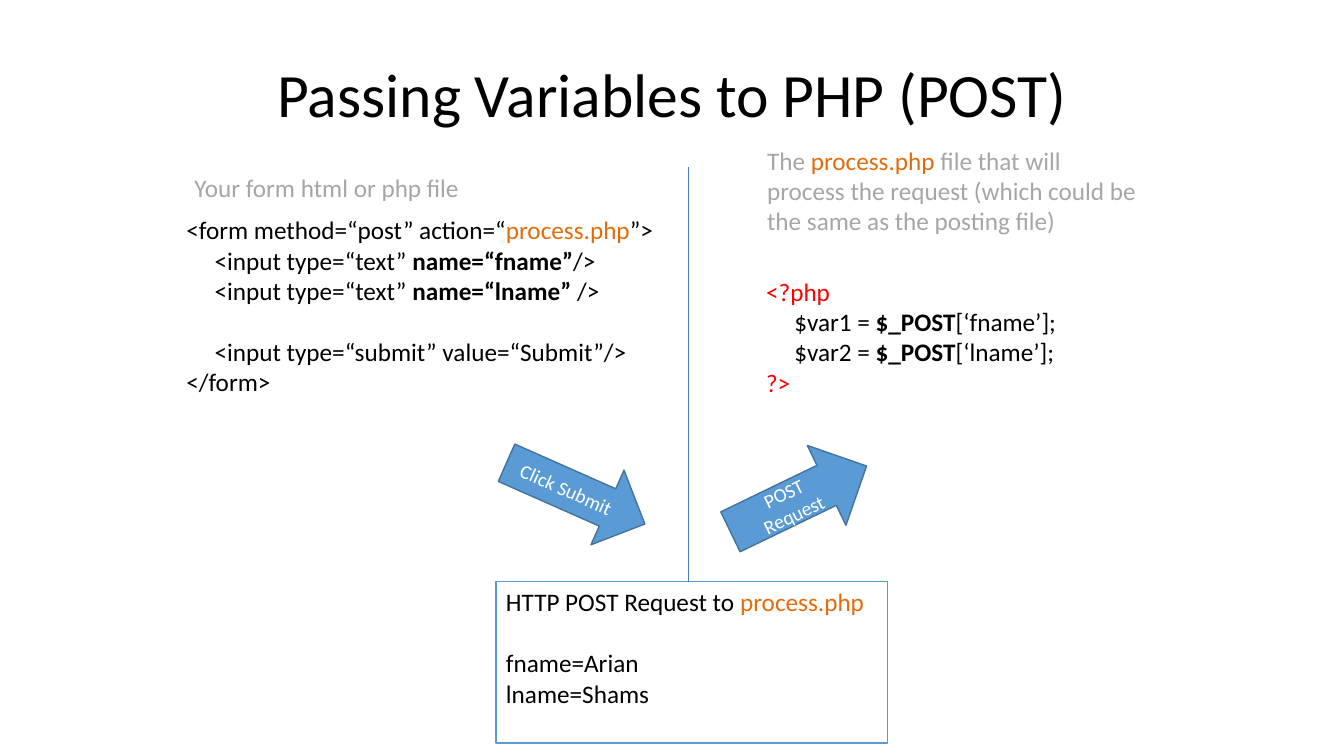
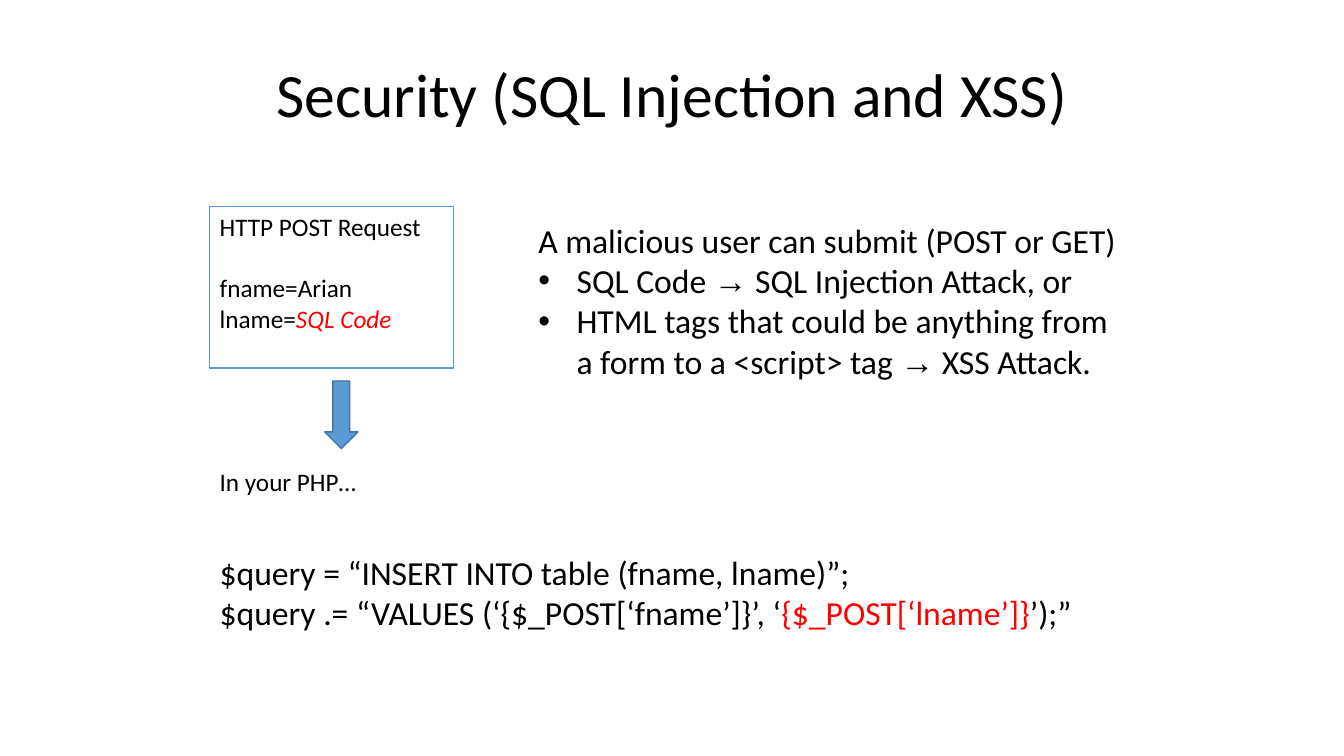
import pptx
import pptx.util
import pptx.dml.color
import pptx.enum.shapes
import pptx.enum.text
import pptx.oxml
import pptx.oxml.ns

Inches = pptx.util.Inches
Pt = pptx.util.Pt
Shape = pptx.enum.shapes.MSO_SHAPE
Anchor = pptx.enum.text.MSO_ANCHOR
Align = pptx.enum.text.PP_ALIGN

# Shared look
FONT = "Calibri"
BLACK, WHITE, RED = "000000", "FFFFFF", "FF0000"
GREY, ORANGE = "A6A6A6", "E46C0A"
BLUE, DARK_BLUE, RULE_BLUE = "5B9BD5", "43739E", "4A7EBB"
TITLE_BOX = (2.17, 0.3, 9, 1.25)
CODE_INDENT = 0.28
BULLET_INDENT = 0.38
BLANK_LINE = 22  # height of one 18 point line
BOLD = {"bold": True}
FILE = {"color": ORANGE}
ALERT = {"color": RED}
ARROW = ("→", {"font": "Arial"})


def rgb(value):
    return pptx.dml.color.RGBColor.from_string(value)


def inches(box):
    return [Inches(length) for length in box]


def line(*spans, indent=0, before=0, bullet=False):
    """Describe one paragraph; a span is a string or (string, format)."""
    return {"spans": spans, "indent": indent, "before": before, "bullet": bullet}


def format_span(span, size, color, font=FONT, bold=False, italic=False):
    span.font.name = font
    span.font.size = Pt(size)
    span.font.bold = bold
    span.font.italic = italic
    span.font.color.rgb = rgb(color)


def add_bullet(properties, indent):
    properties.set("indent", str(-Inches(indent)))
    namespace = pptx.oxml.ns.nsdecls("a")
    for tag in ('buFont typeface="Arial"', 'buChar char="•"'):
        properties.append(pptx.oxml.parse_xml(f"<a:{tag} {namespace}/>"))


def write(shape, lines, size=18, color=BLACK, align=Align.LEFT, anchor=Anchor.TOP):
    frame = shape.text_frame
    frame.word_wrap = True
    frame.vertical_anchor = anchor
    for index, entry in enumerate(lines):
        para = frame.add_paragraph() if index else frame.paragraphs[0]
        para.alignment = align
        para.space_before = Pt(entry["before"])
        if entry["indent"]:
            properties = para._p.get_or_add_pPr()
            properties.set("marL", str(Inches(entry["indent"])))
            if entry["bullet"]:
                add_bullet(properties, entry["indent"])
        for item in entry["spans"]:
            words, changes = (item, {}) if isinstance(item, str) else item
            span = para.add_run()
            span.text = words
            format_span(span, **{"size": size, "color": color, **changes})


def add_text(page, box, lines, **style):
    write(page.shapes.add_textbox(*inches(box)), lines, **style)


def add_block(page, kind, box, fill, outline):
    block = page.shapes.add_shape(kind, *inches(box))
    block.shadow.inherit = False
    block.fill.solid()
    block.fill.fore_color.rgb = rgb(fill)
    block.line.color.rgb = rgb(outline)
    block.line.width = Pt(1)
    return block


def add_arrow(page, kind, box, label="", rotation=0):
    arrow = add_block(page, kind, box, BLUE, DARK_BLUE)
    arrow.rotation = rotation
    if label:
        write(arrow, [line(label)], size=14, color=WHITE,
              align=Align.CENTER, anchor=Anchor.MIDDLE)


def add_request(page, box, heading, last_name):
    """Framed HTTP request with its two fields."""
    request = add_block(page, Shape.RECTANGLE, box, WHITE, BLUE)
    write(request, [
        line(*heading),
        line("fname=Arian", before=BLANK_LINE),
        line("lname=", last_name),
    ])


def add_divider(page, x, top, bottom):
    divider = page.shapes.add_connector(
        pptx.enum.shapes.MSO_CONNECTOR.STRAIGHT, *inches((x, bottom, x, top)))
    divider.line.color.rgb = rgb(RULE_BLUE)
    divider.line.width = Pt(0.5)
    effects = f'<a:effectLst {pptx.oxml.ns.nsdecls("a")}/>'
    divider._element.spPr.append(pptx.oxml.parse_xml(effects))


def add_page(deck, title):
    page = deck.slides.add_slide(deck.slide_layouts[5])
    heading = page.shapes.title
    heading.left, heading.top, heading.width, heading.height = inches(TITLE_BOX)
    write(heading, [line(title)], size=44, align=Align.CENTER, anchor=Anchor.MIDDLE)
    return page


def build_post(deck):
    page = add_page(deck, "Passing Variables to PHP (POST)")

    # Form source
    add_text(page, (1.75, 2.08, 5, 2.5), [
        line("<form method=“post” action=“", ("process.php", FILE), "”>"),
        line("<input type=“text” ", ("name=“fname”", BOLD), "/>", indent=CODE_INDENT),
        line("<input type=“text” ", ("name=“lname”", BOLD), " />", indent=CODE_INDENT),
        line("<input type=“submit” value=“Submit”/>",
             indent=CODE_INDENT, before=BLANK_LINE),
        line("</form>"),
    ])

    # Request and the arrows into and out of it
    add_request(page, (4.92, 5.77, 3.88, 1.6),
                ["HTTP POST Request to ", ("process.php", FILE)], "Shams")
    add_arrow(page, Shape.RIGHT_ARROW, (4.96, 4.49, 1.5, 0.81), "Click Submit", 23.9)
    add_arrow(page, Shape.RIGHT_ARROW, (7.17, 4.51, 1.5, 0.88), "POST Request", 334.2)

    # Receiving script
    add_text(page, (7.5, 2.69, 3.4, 1.67), [
        line(("<?php", ALERT)),
        *(line(f"${variable} = ", ("$_POST", BOLD), f"[‘{field}’];", indent=CODE_INDENT)
          for variable, field in (("var1", "fname"), ("var2", "lname"))),
        line(("?>", ALERT)),
    ])

    # Captions and the line between the two files
    add_text(page, (1.83, 1.66, 4.58, 0.4),
             [line("Your form html or php file")], color=GREY)
    add_text(page, (7.51, 1.39, 3.93, 1.3), [
        line("The", (" process.php ", FILE), "file that will process the request "
             "(which could be the same as the posting file)"),
    ], color=GREY)
    add_divider(page, 6.83, 1.66, 5.77)


def build_security(deck):
    page = add_page(deck, "Security (SQL Injection and XSS)")

    # Tampered request
    add_request(page, (2.08, 2.05, 2.42, 1.6), ["HTTP POST Request"],
                ("SQL Code", {"color": RED, "italic": True}))

    # Query built from it
    add_text(page, (2.08, 4.58, 9.42, 2.5), [
        line(("In your PHP…", {"size": 18})),
        line("$query = “INSERT INTO table (fname, lname)”;", before=39),
        line("$query .= “VALUES (‘{$_POST[‘fname’]}’, ‘",
             ("{$_POST[‘lname’]}", ALERT), "’);”"),
    ], size=24)
    add_arrow(page, Shape.DOWN_ARROW, (3.22, 3.78, 0.33, 0.67))

    # Kinds of attack
    attacks = (("SQL Code ", " SQL Injection Attack, or"),
               ("HTML tags that could be anything from a form to a <script> tag ",
                " XSS Attack."))
    add_text(page, (5.24, 2.13, 6.08, 2.9), [
        line("A malicious user can submit (POST or GET)"),
        *(line(cause, ARROW, attack, indent=BULLET_INDENT, bullet=True)
          for cause, attack in attacks),
    ], size=24)


def main():
    deck = pptx.Presentation()
    deck.slide_width, deck.slide_height = inches((13.33, 7.5))
    build_post(deck)
    build_security(deck)
    deck.save("out.pptx")


if __name__ == "__main__":
    main()
